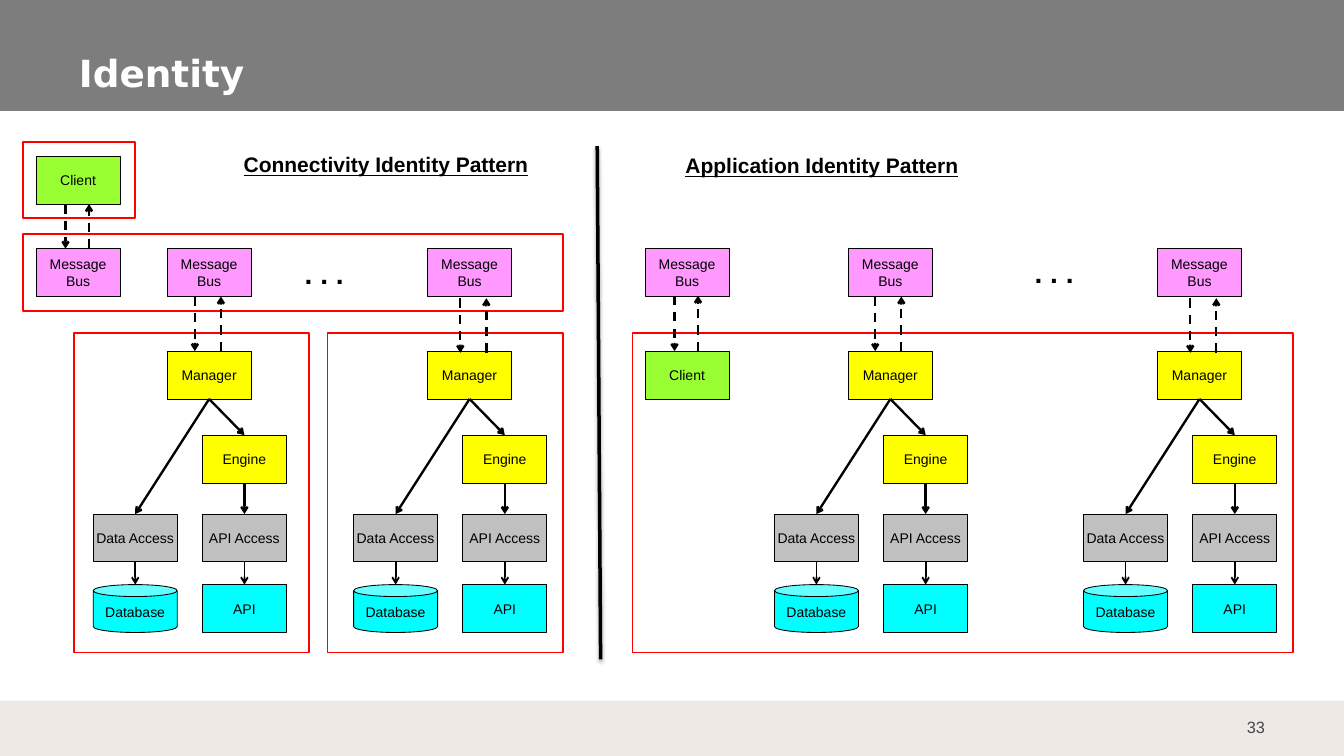
from pptx import Presentation
from pptx.dml.color import RGBColor
from pptx.enum.dml import MSO_LINE
from pptx.enum.shapes import MSO_CONNECTOR, MSO_SHAPE
from pptx.enum.text import MSO_ANCHOR, PP_ALIGN
from pptx.oxml import parse_xml
from pptx.oxml.ns import nsdecls
from pptx.util import Inches, Pt

RECT, CAN = MSO_SHAPE.RECTANGLE, MSO_SHAPE.CAN
LEFT, CENTER, RIGHT = PP_ALIGN.LEFT, PP_ALIGN.CENTER, PP_ALIGN.RIGHT
TOP, MIDDLE, BOTTOM = MSO_ANCHOR.TOP, MSO_ANCHOR.MIDDLE, MSO_ANCHOR.BOTTOM
STRAIGHT, DASH = MSO_CONNECTOR.STRAIGHT, MSO_LINE.DASH

COLORS = {
    "band": "7D7D7D", "footer": "EFE9E5", "number": "464646",
    "white": "FFFFFF", "black": "000000", "frame": "FF0000",
    "client": "99FF33", "bus": "FF99FF", "logic": "FFFF00",
    "access": "C0C0C0", "resource": "00FFFF",
}
HEADING = {"size": Pt(18), "bold": True, "underline": True}
DOTS = {"size": Pt(24), "bold": True}
LABEL = {"size": Pt(12)}

BOX_WIDTH, BOX_HEIGHT = 1, 0.57
BUS_ROW, MANAGER_ROW, ENGINE_ROW, ACCESS_ROW, RESOURCE_ROW = 2.96, 4.18, 5.18, 6.12, 6.96
CLIENT_COLUMNS = [(0.43, 1.86, 2.43, 2.96), (7.68, MANAGER_ROW, MANAGER_ROW, 3.52)]
STACKS = [(1.99, 0.33, 0), (5.09, 0.39, 0.02), (10.1, 0.32, 0), (13.78, 0.39, 0.02)]
FRAMES = [
    (0.27, 1.69, 1.34, 0.91), (0.27, 2.79, 6.43, 0.91),
    (0.88, 3.96, 2.8, 3.81), (3.9, 3.96, 2.8, 3.81), (7.53, 3.96, 7.86, 3.81),
]


def color(name):
    return RGBColor.from_string(COLORS[name])


def write(frame, text, formats, ink="black", face="Arial", align=CENTER, anchor=MIDDLE,
          wrap=True, margins=(0.1, 0.05)):
    side, edge = Inches(margins[0]), Inches(margins[1])
    settings = {"text": text, "word_wrap": wrap, "vertical_anchor": anchor,
                "margin_left": side, "margin_right": side,
                "margin_top": edge, "margin_bottom": edge}
    for key, value in settings.items():
        setattr(frame, key, value)
    for para in frame.paragraphs:
        para.alignment = align
        for span in para.runs:
            span.font.name = face
            span.font.color.rgb = color(ink)
            for key, value in formats.items():
                setattr(span.font, key, value)


deck = Presentation()
deck.slide_width, deck.slide_height = Inches(16), Inches(9)
page = deck.slides.add_slide(deck.slide_layouts[5])
title = page.shapes.title

for left, top, width, height, fill in [(0, 0, 16, 1.32, "band"), (0, 8.34, 16, 0.66, "footer")]:
    band = page.shapes.add_shape(RECT, *map(Inches, (left, top, width, height)))
    band.shadow.inherit = False
    band.fill.solid()
    band.fill.fore_color.rgb = color(fill)
    band.line.fill.background()
    band.element.addnext(title.element)

title.left, title.top, title.width, title.height = map(Inches, (0.8, 0.46, 14.21, 0.74))
write(title.text_frame, "Identity", {"size": Pt(32), "bold": True}, "white", "DejaVu Sans",
      LEFT, BOTTOM, margins=(0.14, 0.07))

boxes, arrows = [], []
for left, top, start, end in CLIENT_COLUMNS:
    boxes += [(RECT, left, top, "Client", "client"),
              (RECT, left, BUS_ROW, "Message\nBus", "bus")]
    down, up = left + 0.35, left + 0.63
    upper, lower = min(start, end), max(start, end)
    arrows += [(down, upper, down, lower, 2, True), (up, lower, up, upper, 2, True)]

for left, lane, drop in STACKS:
    middle = left + BOX_WIDTH / 2
    api_left, data_left = left + 0.42, left - 0.88
    api, data = api_left + BOX_WIDTH / 2, data_left + BOX_WIDTH / 2
    boxes += [
        (RECT, left, BUS_ROW, "Message\nBus", "bus"),
        (RECT, left, MANAGER_ROW, "Manager", "logic"),
        (RECT, api_left, ENGINE_ROW, "Engine", "logic"),
        (RECT, api_left, ACCESS_ROW, "API Access", "access"),
        (RECT, data_left, ACCESS_ROW, "Data Access", "access"),
        (RECT, api_left, RESOURCE_ROW, "API", "resource"),
        (CAN, data_left, RESOURCE_ROW, "Database", "resource"),
    ]
    down, up = left + lane, left + lane + 0.31
    upper, lower = BUS_ROW + BOX_HEIGHT + drop, MANAGER_ROW + drop
    manager_end = MANAGER_ROW + BOX_HEIGHT
    access_end = ACCESS_ROW + BOX_HEIGHT
    arrows += [
        (down, upper, down, lower, 2, True),
        (up, lower, up, upper, 2, True),
        (middle, manager_end, api, ENGINE_ROW, 2, False),
        (middle, manager_end, data, ACCESS_ROW, 2, False),
        (api, ENGINE_ROW + BOX_HEIGHT, api, ACCESS_ROW, 2, False),
        (api, access_end, api, RESOURCE_ROW, 1.5, False),
        (data, access_end, data, RESOURCE_ROW, 1.5, False),
    ]

for kind, left, top, label, fill in boxes:
    box = page.shapes.add_shape(kind, *map(Inches, (left, top, BOX_WIDTH, BOX_HEIGHT)))
    box.shadow.inherit = False
    box.fill.solid()
    box.fill.fore_color.rgb = color(fill)
    box.line.color.rgb = color("black")
    box.line.width = Pt(0.75)
    write(box.text_frame, label, LABEL, wrap=False)

for bounds in FRAMES:
    frame = page.shapes.add_shape(RECT, *map(Inches, bounds))
    frame.shadow.inherit = False
    frame.fill.background()
    frame.line.color.rgb = color("frame")
    frame.line.width = Pt(1.5)

for *ends, weight, dashed in arrows:
    arrow = page.shapes.add_connector(STRAIGHT, *map(Inches, ends))
    arrow.line.color.rgb = color("black")
    arrow.line.width = Pt(weight)
    if dashed:
        arrow.line.dash_style = DASH
    arrow.line._get_or_add_ln().append(parse_xml(f'<a:tailEnd {nsdecls("a")} type="arrow"/>'))
    arrow.element.spPr.append(parse_xml(f'<a:effectLst {nsdecls("a")}/>'))

divider = page.shapes.add_connector(STRAIGHT, *map(Inches, (7.11, 1.74, 7.15, 7.85)))
divider.line.color.rgb = color("black")
divider.line.width = Pt(3)
divider.element.spPr.append(parse_xml(
    f'<a:effectLst {nsdecls("a")}><a:outerShdw blurRad="{Pt(3.1)}" dist="{Pt(1.8)}" dir="5400000">'
    f'<a:srgbClr val="{COLORS["black"]}"><a:alpha val="35000"/></a:srgbClr>'
    '</a:outerShdw></a:effectLst>'))

captions = [
    ((2.49, 1.76, 4.21, 0.4), "Connectivity Identity Pattern", HEADING, "black", CENTER, TOP),
    ((7.68, 1.77, 4.21, 0.4), "Application Identity Pattern", HEADING, "black", CENTER, TOP),
    ((3.53, 3, 0.74, 0.5), ". . .", DOTS, "black", LEFT, TOP),
    ((12.22, 2.99, 0.74, 0.5), ". . .", DOTS, "black", LEFT, TOP),
    ((14.4, 8.42, 0.8, 0.48), "33", {"size": Pt(14)}, "number", RIGHT, MIDDLE),
]
for bounds, text, formats, ink, align, anchor in captions:
    caption = page.shapes.add_textbox(*map(Inches, bounds))
    margins = (0.14, 0.07) if ink == "number" else (0.1, 0.05)
    write(caption.text_frame, text, formats, ink, align=align, anchor=anchor, margins=margins)

deck.save("out.pptx")
